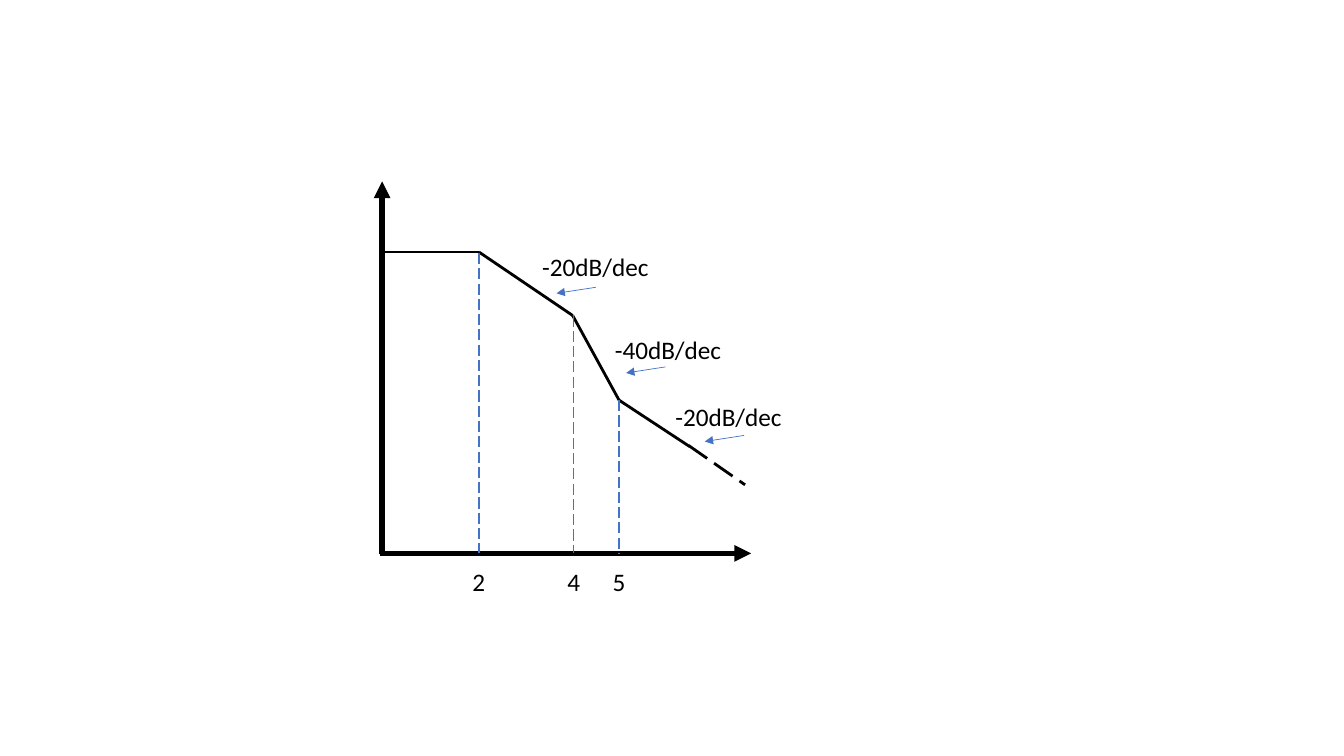
from lxml import etree
from pptx import Presentation
from pptx.dml.color import RGBColor
from pptx.enum.dml import MSO_LINE
from pptx.enum.shapes import MSO_CONNECTOR
from pptx.enum.text import MSO_AUTO_SIZE, PP_ALIGN
from pptx.oxml.ns import qn
from pptx.util import Inches, Pt

BLACK = RGBColor(0x00, 0x00, 0x00)
BLUE = RGBColor(0x44, 0x72, 0xC4)
DASH = MSO_LINE.LONG_DASH
STRAIGHT = MSO_CONNECTOR.STRAIGHT
FIT = MSO_AUTO_SIZE.SHAPE_TO_FIT_TEXT
CENTER = PP_ALIGN.CENTER
LEFT = PP_ALIGN.LEFT
BASE = 5.49


class Plot:
    """Draws the lines and labels of a Bode plot in one group."""

    font = {"name": "Calibri", "size": Pt(18)}

    def __init__(self, slide):
        self.shapes = slide.shapes.add_group_shape().shapes

    def line(self, start, end, color=BLACK, width=2, dash=None, arrow=False):
        ends = [Inches(n) for n in (*start, *end)]
        link = self.shapes.add_connector(STRAIGHT, *ends)
        link.line.color.rgb = color
        link.line.width = Pt(width)
        if dash:
            link.line.dash_style = dash
        props = link._element.spPr
        if arrow:
            stroke = props.find(qn("a:ln"))
            etree.SubElement(stroke, qn("a:tailEnd"), type="triangle")
        etree.SubElement(props, qn("a:effectLst"))

    def label(self, text, left, top, width, align=LEFT):
        box = self.shapes.add_textbox(
            Inches(left), Inches(top), Inches(width), Inches(0.4))
        frame = box.text_frame
        frame.word_wrap = False
        frame.auto_size = FIT
        para = frame.paragraphs[0]
        para.alignment = align
        run = para.add_run()
        run.text = text
        for key, value in self.font.items():
            setattr(run.font, key, value)
        run.font.color.rgb = BLACK

    def mark(self, text, x, top):
        self.line((x, top), (x, BASE), BLUE, 1, DASH)
        self.label(text, x - 0.165, 5.57, 0.33, CENTER)

    def slope(self, text, left, top, tip):
        self.label(text, left, top, 1.27)
        x, y = tip
        self.line((x + 0.39, y - 0.06), tip, BLUE, 0.5, arrow=True)


def main():
    deck = Presentation()
    deck.slide_width = Inches(13.33)
    deck.slide_height = Inches(7.5)
    plot = Plot(deck.slides.add_slide(deck.slide_layouts[6]))

    plot.line((3.79, 5.5), (3.79, 1.8), width=4, arrow=True)
    plot.line((3.77, BASE), (7.45, BASE), width=4, arrow=True)

    curve = [(3.79, 2.5), (4.75, 2.5), (5.68, 3.13), (6.14, 3.97), (6.84, 4.43)]
    for start, end in zip(curve, curve[1:]):
        plot.line(start, end)
    plot.line((6.83, 4.42), (7.39, 4.81), dash=DASH)

    for text, x, top in (("2", 4.75, 2.51), ("4", 5.69, 3.13), ("5", 6.14, 3.97)):
        plot.mark(text, x, top)

    plot.slope("-20dB/dec", 5.28, 2.44, (5.52, 2.91))
    plot.slope("-40dB/dec", 6, 3.27, (6.21, 3.7))
    plot.slope("-20dB/dec", 6.6, 3.93, (6.99, 4.38))

    deck.save("out.pptx")


if __name__ == "__main__":
    main()
